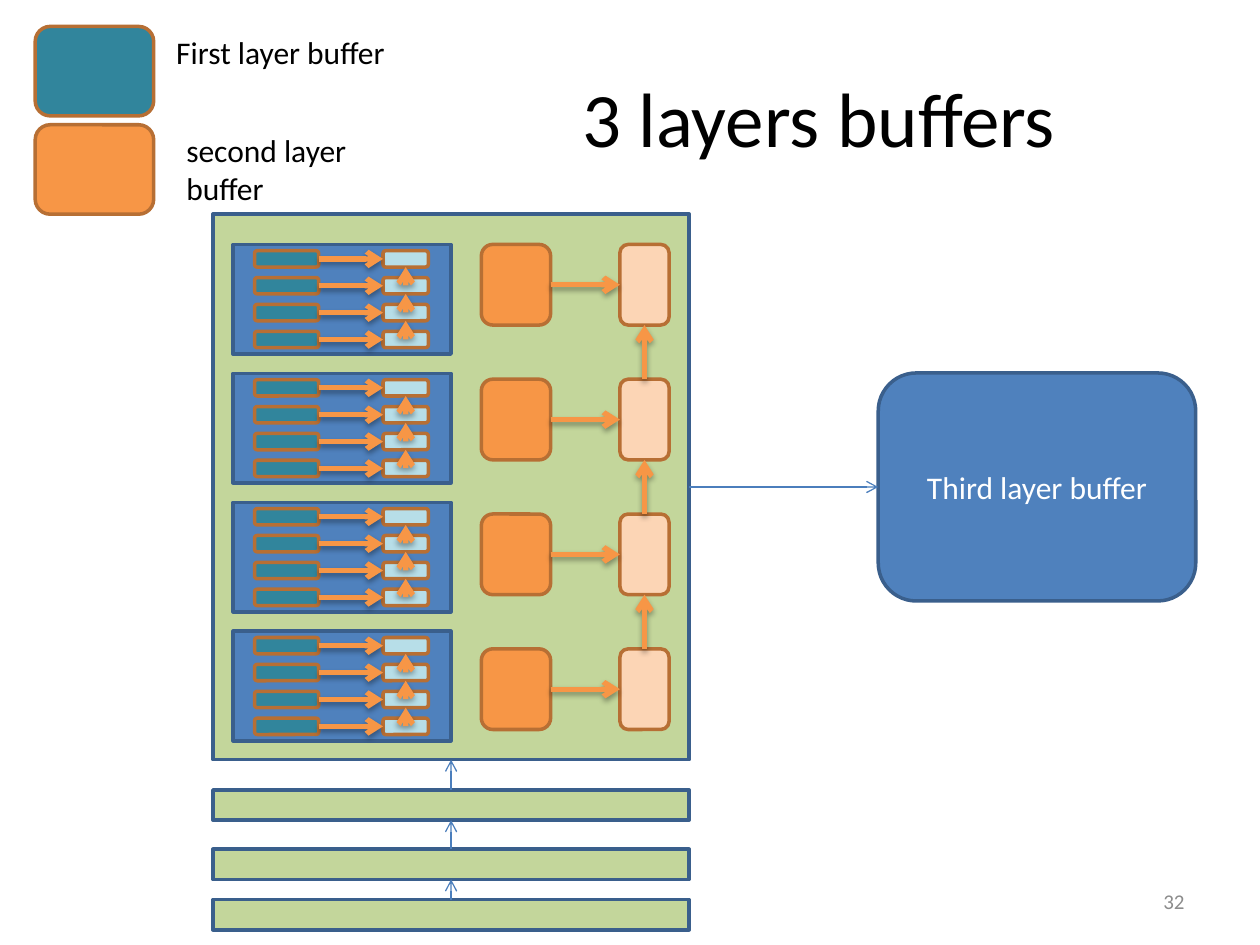
from dataclasses import dataclass
from typing import Any

from pptx import Presentation
from pptx.dml.color import RGBColor
from pptx.enum.shapes import MSO_CONNECTOR, MSO_SHAPE
from pptx.enum.text import MSO_ANCHOR, MSO_AUTO_SIZE, PP_ALIGN
from pptx.oxml import parse_xml
from pptx.oxml.ns import nsdecls
from pptx.util import Inches, Pt

HUES = {
    "black": "000000", "white": "FFFFFF", "gray": "8C8C8C",
    "teal": "31859C", "aqua": "B7DEE8", "orange": "F79646",
    "peach": "FCD5B5", "rust": "B76F34", "green": "C3D69B",
    "blue": "4F81BD", "navy": "3A5F8C", "steel": "4B7EBC",
}
SHADOW = (
    '<a:outerShdw blurRad="40000" dist="23000" dir="5400000" rotWithShape="0">'
    '<a:srgbClr val="000000"><a:alpha val="35000"/></a:srgbClr></a:outerShdw>'
)
ROWS = 4


@dataclass
class Box:
    x: float
    y: float
    w: float
    h: float
    fill: str
    edge: str = "rust"
    form: Any = MSO_SHAPE.ROUNDED_RECTANGLE


@dataclass
class Column:
    x: float
    w: float
    fill: str


def hue(name: str) -> RGBColor:
    return RGBColor.from_string(HUES[name])


def apply(item: Any, values: dict[str, Any]) -> None:
    for key, value in values.items():
        setattr(item, key, value)


def spread(first: float, last: float) -> list[float]:
    """Evenly spaced tops of all rows, from first to last."""
    step = (last - first) / (ROWS - 1)
    return [first + step * i for i in range(ROWS)]


def draw_box(shapes: Any, box: Box) -> Any:
    shape = shapes.add_shape(
        box.form, Inches(box.x), Inches(box.y), Inches(box.w), Inches(box.h))
    shape.shadow.inherit = False
    shape.fill.solid()
    shape.fill.fore_color.rgb = hue(box.fill)
    shape.line.color.rgb = hue(box.edge)
    shape.line.width = Pt(2)
    return shape


def draw_arrow(shapes: Any, x1: float, y1: float, x2: float, y2: float,
               bold: bool = False) -> None:
    """A thin steel arrow, or a bold orange one with a shadow."""
    arrow = shapes.add_connector(
        MSO_CONNECTOR.STRAIGHT, Inches(x1), Inches(y1), Inches(x2), Inches(y2))
    arrow.line.color.rgb = hue("orange" if bold else "steel")
    arrow.line.width = Pt(3 if bold else 0.75)
    arrow.line._get_or_add_ln().append(
        parse_xml(f'<a:tailEnd {nsdecls("a")} type="arrow"/>'))
    arrow._element.spPr.append(parse_xml(
        f'<a:effectLst {nsdecls("a")}>{SHADOW if bold else ""}</a:effectLst>'))


def draw_chain(shapes: Any, left: Column, right: Column,
               tops: list[float], h: float) -> None:
    """Rows of left box to right box, with the right boxes linked upward."""
    for y in tops:
        for col in (left, right):
            draw_box(shapes, Box(col.x, y, col.w, h, col.fill))
    for y in tops:
        draw_arrow(shapes, left.x + left.w, y + h / 2, right.x, y + h / 2, True)
    mid = right.x + right.w / 2
    for above, below in zip(tops, tops[1:]):
        draw_arrow(shapes, mid, below, mid, above + h, True)


def write(shape: Any, text: str, size: float, color: str,
          align: Any = PP_ALIGN.LEFT, anchor: Any = MSO_ANCHOR.MIDDLE,
          fit: Any = MSO_AUTO_SIZE.NONE) -> None:
    frame = shape.text_frame
    frame.text = text
    apply(frame, {"word_wrap": True, "vertical_anchor": anchor, "auto_size": fit})
    para = frame.paragraphs[0]
    para.alignment = align
    font = para.runs[0].font
    apply(font, {"name": "Calibri", "size": Pt(size)})
    font.color.rgb = hue(color)


def add_text(shapes: Any, x: float, y: float, w: float, h: float) -> Any:
    return shapes.add_textbox(Inches(x), Inches(y), Inches(w), Inches(h))


def main() -> None:
    deck = Presentation()
    apply(deck, {"slide_width": Inches(10), "slide_height": Inches(7.5)})
    slide = deck.slides.add_slide(deck.slide_layouts[5])
    shapes = slide.shapes

    title = shapes.title
    apply(title, {"left": Inches(3.5), "top": Inches(0.3),
                  "width": Inches(6), "height": Inches(1.25)})
    write(title, "3 layers buffers", 44, "black", PP_ALIGN.CENTER)

    legend = [
        ("First layer buffer", 1.3, 0.21, 0.4, "teal"),
        ("second layer buffer", 1.38, 0.99, 0.71, "orange"),
    ]
    for text, x, y, h, fill in legend:
        draw_box(shapes, Box(0.28, y, 0.94, 0.71, fill))
        write(add_text(shapes, x, y, 2.05, h), text, 18, "black",
              anchor=MSO_ANCHOR.TOP, fit=MSO_AUTO_SIZE.SHAPE_TO_FIT_TEXT)

    block = Box(1.69, 1.7, 3.78, 4.33, "green", "navy", MSO_SHAPE.RECTANGLE)
    group = shapes.add_group_shape().shapes
    draw_box(group, block)
    draw_chain(group, Column(3.82, 0.55, "orange"), Column(4.92, 0.39, "peach"),
               spread(1.94, 5.15), 0.64)
    for top in spread(1.94, 5.01):
        draw_box(group, Box(1.85, top, 1.73, 0.87, "blue", "navy",
                            MSO_SHAPE.RECTANGLE))
        draw_chain(group, Column(2.02, 0.51, "teal"), Column(3.04, 0.36, "aqua"),
                   spread(top + 0.05, top + 0.69), 0.13)

    mid = block.x + block.w / 2
    base = block.y + block.h
    for y in (6.27, 6.74, 7.14):
        bar = Box(block.x, y, block.w, 0.24, "green", "navy", MSO_SHAPE.RECTANGLE)
        draw_box(shapes, bar)
        draw_arrow(shapes, mid, y, mid, base)
        base = y + bar.h

    third = Box(6.97, 2.96, 2.52, 1.81, "blue", "navy")
    write(draw_box(shapes, third), "Third layer buffer", 18, "white",
          PP_ALIGN.CENTER)
    level = block.y + block.h / 2
    draw_arrow(shapes, block.x + block.w, level, third.x, level)

    write(add_text(shapes, 7.17, 6.95, 2.33, 0.4), "32", 12, "gray",
          PP_ALIGN.RIGHT)
    deck.save("out.pptx")


if __name__ == "__main__":
    main()
